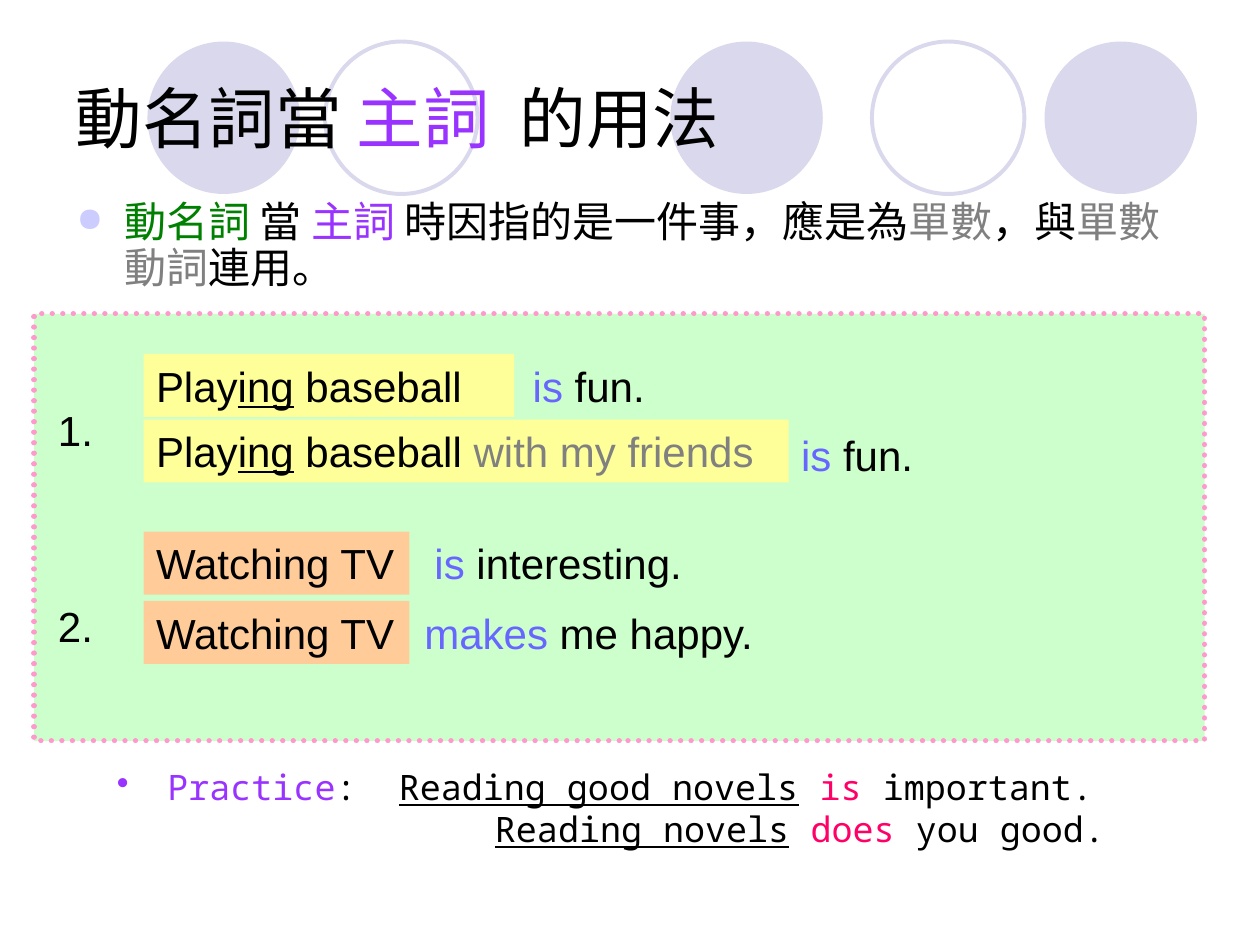
import pptx
import pptx.util
import pptx.dml.color
import pptx.enum.dml
import pptx.enum.shapes
import pptx.enum.text
import pptx.oxml.ns
import lxml.etree

Inches, Pt = pptx.util.Inches, pptx.util.Pt
RGB = pptx.dml.color.RGBColor
SHAPE = pptx.enum.shapes.MSO_SHAPE
ANCHOR = pptx.enum.text.MSO_ANCHOR
LEFT = pptx.enum.text.PP_ALIGN.LEFT
qn = pptx.oxml.ns.qn

BLACK = RGB(0x00, 0x00, 0x00)
GREY = RGB(0x80, 0x80, 0x80)
GREEN = RGB(0x00, 0x80, 0x00)
PURPLE = RGB(0x99, 0x33, 0xFF)
BLUE = RGB(0x67, 0x67, 0xFF)
RED = RGB(0xFF, 0x00, 0x66)
LILAC = RGB(0xD9, 0xD8, 0xEC)
BULLET = RGB(0xCC, 0xCC, 0xFF)
MINT = RGB(0xCC, 0xFF, 0xCC)
PINK = RGB(0xFF, 0x99, 0xCC)
YELLOW = RGB(0xFF, 0xFF, 0x99)
ORANGE = RGB(0xFF, 0xCC, 0x99)
SANS, CJK, MONO = "Arial", "Noto Sans CJK SC", "Noto Sans Mono"


def write(p, runs, font, size):
    """Fill a paragraph with (text, colour[, underline]) runs."""
    p.alignment = LEFT
    for text, color, *underline in runs:
        r = p.add_run()
        r.text = text
        r.font.size = Pt(size)
        r.font.name = font
        r.font.color.rgb = color
        if underline:
            r.font.underline = True
        if font == CJK:
            lxml.etree.SubElement(r.font._element, qn("a:ea"), typeface=font)


def indent(p, left, char=None, color=None, percent=100):
    """Indent a paragraph, with a hanging bullet if a character is given."""
    pPr = p._p.get_or_add_pPr()
    pPr.set("marL", str(Inches(left)))
    if char:
        pPr.set("indent", str(-Inches(left)))
        clr = lxml.etree.SubElement(pPr, qn("a:buClr"))
        lxml.etree.SubElement(clr, qn("a:srgbClr"), val=str(color))
        lxml.etree.SubElement(pPr, qn("a:buSzPct"), val=str(percent * 1000))
        lxml.etree.SubElement(pPr, qn("a:buChar"), char=char)


prs = pptx.Presentation()
prs.slide_width, prs.slide_height = Inches(10), Inches(7.5)
s = prs.slides.add_slide(prs.slide_layouts[5])

# Row of background circles
for x, filled in [(5.32, True), (8.29, True), (1.17, True),
                  (6.92, False), (2.58, False)]:
    sp = s.shapes.add_shape(SHAPE.OVAL, Inches(x), Inches(0.33),
                            Inches(1.21), Inches(1.21))
    sp.shadow.inherit = False
    if filled:
        sp.fill.solid()
        sp.fill.fore_color.rgb = LILAC
        sp.line.fill.background()
    else:
        sp.fill.background()
        sp.line.color.rgb = LILAC
        sp.line.width = Pt(2.25)

# Green panel with the example numbers
panel = s.shapes.add_shape(SHAPE.RECTANGLE, Inches(0.27), Inches(2.49),
                           Inches(9.29), Inches(3.39))
panel.shadow.inherit = False
panel.fill.solid()
panel.fill.fore_color.rgb = MINT
panel.line.color.rgb = PINK
panel.line.width = Pt(3)
panel.line.dash_style = pptx.enum.dml.MSO_LINE.ROUND_DOT
panel.line._ln.set("cap", "rnd")
tf = panel.text_frame
tf.vertical_anchor = ANCHOR.MIDDLE
tf.margin_left = Inches(0.19)
write(tf.paragraphs[0], [("1.", BLACK)], SANS, 24)
p = tf.add_paragraph()
p.space_before = Pt(83)
write(p, [("2.", BLACK)], SANS, 24)

# Title, in front of the circles
title = s.shapes.title
s.shapes._spTree.append(title._element)
title.left, title.top = Inches(0.5), Inches(0.3)
title.width, title.height = Inches(9), Inches(1.25)
tf = title.text_frame
tf.auto_size = pptx.enum.text.MSO_AUTO_SIZE.NONE
tf.vertical_anchor = ANCHOR.MIDDLE
write(tf.paragraphs[0], [("動名詞當 ", BLACK), ("主詞  ", PURPLE),
                         ("的用法", BLACK)], CJK, 38)

# Rule
tf = s.shapes.add_textbox(Inches(0.51), Inches(1.55),
                          Inches(9), Inches(0.87)).text_frame
tf.word_wrap = True
p = tf.paragraphs[0]
p.line_spacing = 0.9
indent(p, 0.38, "●", BULLET, 80)
write(p, [("動名詞 ", GREEN), ("當 ", BLACK), ("主詞 ", PURPLE),
          ("時因指的是一件事，應是為", BLACK), ("單數", GREY), ("，與", BLACK),
          ("單數動詞", GREY), ("連用。", BLACK)], CJK, 24)

# Example subjects, on coloured bars
playing = [("Play", BLACK), ("ing", BLACK, True)]
watching = [("Watching TV", BLACK)]
for y, w, color, runs in [
        (2.81, 2.94, YELLOW, playing + [(" baseball", BLACK)]),
        (3.33, 5.12, YELLOW, playing + [(" baseball ", BLACK),
                                        ("with my friends", GREY)]),
        (4.22, 2.11, ORANGE, watching),
        (4.77, 2.11, ORANGE, watching)]:
    sp = s.shapes.add_shape(SHAPE.RECTANGLE, Inches(1.14), Inches(y),
                            Inches(w), Inches(0.5))
    sp.shadow.inherit = False
    sp.fill.solid()
    sp.fill.fore_color.rgb = color
    sp.line.fill.background()
    tf = sp.text_frame
    tf.word_wrap = False
    tf.vertical_anchor = ANCHOR.TOP
    write(tf.paragraphs[0], runs, SANS, 24)

# Example predicates
for x, y, w, verb, rest in [(4.13, 2.81, 1.34, "is ", "fun."),
                            (6.26, 3.36, 1.34, "is ", "fun."),
                            (3.35, 4.22, 2.44, "is ", "interesting."),
                            (3.27, 4.77, 3.07, "makes", " me happy.")]:
    tf = s.shapes.add_textbox(Inches(x), Inches(y),
                              Inches(w), Inches(0.5)).text_frame
    tf.word_wrap = True
    write(tf.paragraphs[0], [(verb, BLUE), (rest, BLACK)], SANS, 24)

# Practice sentences
tf = s.shapes.add_textbox(Inches(0.83), Inches(6.03),
                          Inches(8.11), Inches(0.77)).text_frame
tf.word_wrap = True
p = tf.paragraphs[0]
indent(p, 0.4, "•", PURPLE)
write(p, [("Practice", PURPLE), (":  ", BLACK),
          ("Reading good novels", BLACK, True), (" ", BLACK),
          ("is ", RED), ("important.", BLACK)], MONO, 20)
p = tf.add_paragraph()
indent(p, 3)
write(p, [("Reading novels", BLACK, True), (" ", BLACK),
          ("does", RED), (" you good.", BLACK)], MONO, 20)

prs.save("out.pptx")
